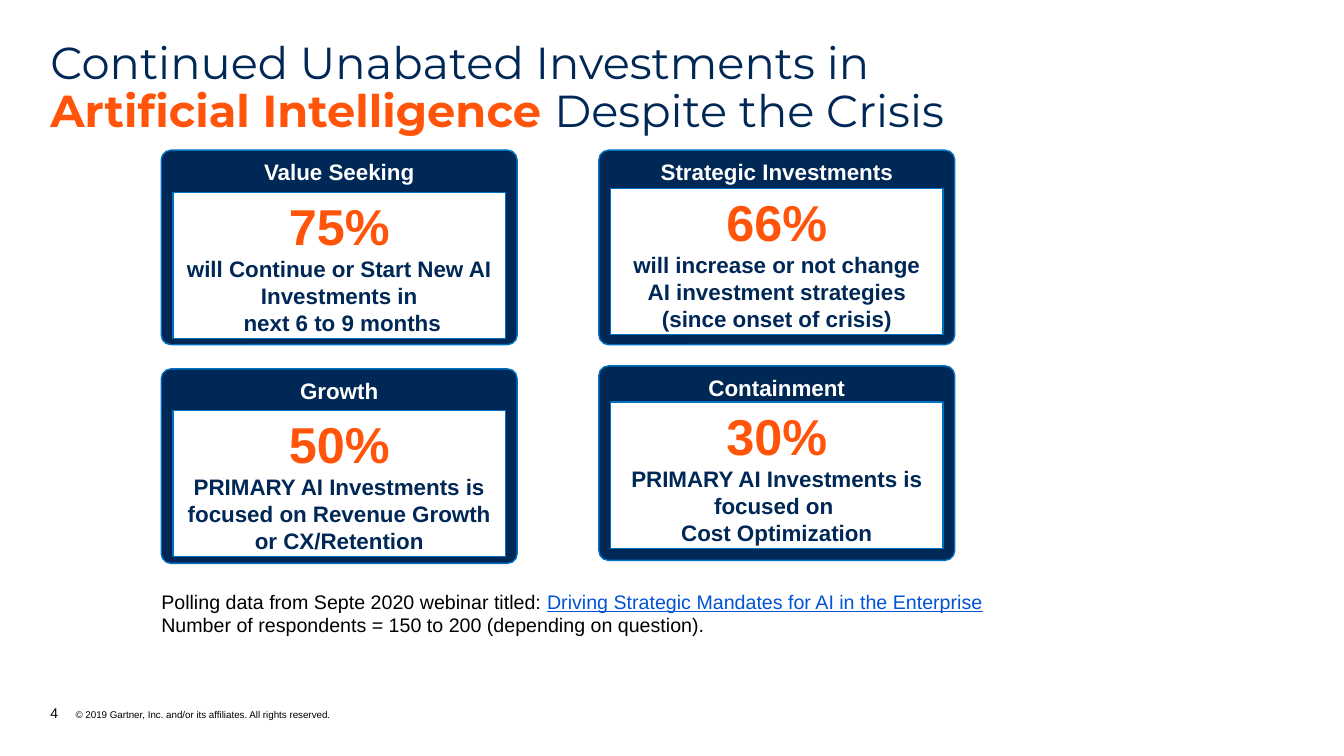
from typing import NamedTuple

from lxml import etree
from pptx import Presentation, util as u
from pptx.dml.color import RGBColor
from pptx.enum import shapes, text
from pptx.oxml.ns import qn

WIDTH, HEIGHT = u.Inches(13.33), u.Inches(7.5)
NAVY, ORANGE, BLUE, LINK = "002856", "FF540A", "0070C0", "0052D7"
WHITE, BLACK = "FFFFFF", "000000"


class Area(NamedTuple):
    """Position and size as percentages of the slide."""
    left: float
    top: float
    width: float
    height: float


class Span(NamedTuple):
    words: str
    size: float
    color: str
    bold: bool = False
    underline: bool = False
    font: str = "Arial"


class Card(NamedTuple):
    column: int
    top: float
    header: str
    panel_drop: float
    share: str
    finding: list[str]


# Card layout, in percent of the slide
COLUMN_LEFT, COLUMN_STEP = 12, 32.56
CARD_WIDTH, CARD_HEIGHT = 26.48, 25.73
PANEL_INDENT, PANEL_WIDTH, PANEL_HEIGHT = 0.86, 24.76, 19.33

CARDS = [
    Card(0, 19.87, "Value Seeking", 5.6, "75%",
         ["will Continue or Start New AI Investments in", " next 6 to 9 months"]),
    Card(1, 19.87, "Strategic Investments", 5.07, "66%",
         ["will increase or not change AI investment strategies (since onset of crisis)"]),
    Card(0, 48.8, "Growth", 5.47, "50%",
         ["PRIMARY AI Investments is focused on Revenue Growth or CX/Retention"]),
    Card(1, 48.4, "Containment", 4.8, "30%",
         ["PRIMARY AI Investments is focused on ", "Cost Optimization"]),
]


def rgb(color: str) -> RGBColor:
    return RGBColor.from_string(color)


def place(area: Area) -> tuple[int, int, int, int]:
    return (round(area.left * WIDTH / 100), round(area.top * HEIGHT / 100),
            round(area.width * WIDTH / 100), round(area.height * HEIGHT / 100))


def style(run, span: Span) -> None:
    run.font.name, run.font.size = span.font, u.Pt(span.size)
    run.font.bold, run.font.underline = span.bold, span.underline
    run.font.color.rgb = rgb(span.color)


def write(frame, lines: list[list[Span]], align=text.PP_ALIGN.LEFT) -> None:
    for number, spans in enumerate(lines):
        paragraph = frame.add_paragraph() if number else frame.paragraphs[0]
        paragraph.alignment = align
        for span in spans:
            run = paragraph.add_run()
            run.text = span.words
            style(run, span)


def add_text(slide, area: Area, lines: list[list[Span]], insets=(0, 0, 0, 0)):
    frame = slide.shapes.add_textbox(*place(area)).text_frame
    frame.word_wrap = True
    (frame.margin_left, frame.margin_top,
     frame.margin_right, frame.margin_bottom) = map(u.Inches, insets)
    write(frame, lines)
    return frame


def add_block(slide, kind, area: Area, fill: str):
    block = slide.shapes.add_shape(kind, *place(area))
    block.shadow.inherit = False
    block.fill.solid()
    block.fill.fore_color.rgb = rgb(fill)
    block.line.color.rgb = rgb(BLUE)
    block.line.width = u.Pt(1)
    return block


def add_card(slide, card: Card) -> None:
    # Navy frame with its header
    left = COLUMN_LEFT + card.column * COLUMN_STEP
    outer = add_block(slide, shapes.MSO_SHAPE.ROUNDED_RECTANGLE,
                      Area(left, card.top, CARD_WIDTH, CARD_HEIGHT), NAVY)
    outer.adjustments[0] = 0.05
    outer.text_frame.word_wrap = False
    outer.text_frame.vertical_anchor = text.MSO_ANCHOR.TOP
    write(outer.text_frame, [[Span(card.header, 16, WHITE, True)]], text.PP_ALIGN.CENTER)

    # White panel: percentage above the finding
    panel = add_block(slide, shapes.MSO_SHAPE.RECTANGLE,
                      Area(left + PANEL_INDENT, card.top + card.panel_drop,
                           PANEL_WIDTH, PANEL_HEIGHT), WHITE)
    frame = panel.text_frame
    frame.word_wrap = True
    frame.vertical_anchor = text.MSO_ANCHOR.MIDDLE
    frame.text = "\n".join([f"{card.share}\v{card.finding[0]}", *card.finding[1:]])
    for paragraph in frame.paragraphs:
        paragraph.alignment = text.PP_ALIGN.CENTER
        for run in paragraph.runs:
            size, color = (36, ORANGE) if run.text == card.share else (16, NAVY)
            style(run, Span(run.text, size, color, True))


def add_footer(slide) -> None:
    frame = add_text(slide, Area(3.75, 93.2, 59.94, 2.27), [[
        Span("4", 10, BLACK),
        Span("\t© 2019 Gartner, Inc. and/or its affiliates. All rights reserved.", 7, BLACK)]])
    frame.vertical_anchor = text.MSO_ANCHOR.BOTTOM
    # Hanging indent with a tab stop after the page number
    indent = u.Inches(0.25)
    properties = frame.paragraphs[0]._p.get_or_add_pPr()
    properties.set("marL", str(indent))
    properties.set("indent", str(-indent))
    tabs = etree.SubElement(properties, qn("a:tabLst"))
    etree.SubElement(tabs, qn("a:tab"), pos=str(indent), algn="l")


def main() -> None:
    deck = Presentation()
    deck.slide_width, deck.slide_height = WIDTH, HEIGHT
    slide = deck.slides.add_slide(deck.slide_layouts[6])

    # Title
    title = add_text(slide, Area(3.75, 5.33, 73.52, 6.4), [[
        Span("Continued Unabated Investments in ", 32, NAVY, font="Montserrat"),
        Span("Artificial Intelligence ", 32, ORANGE, True, font="Montserrat"),
        Span("Despite the Crisis", 32, NAVY, font="Montserrat")]])
    title.paragraphs[0].line_spacing = 0.9

    # Poll results
    for card in CARDS:
        add_card(slide, card)

    # Polling note
    add_text(slide, Area(12, 77.33, 76.44, 7.6), [
        [Span("Polling data from Septe 2020 webinar titled: ", 14, BLACK),
         Span("Driving Strategic Mandates for AI in the Enterprise", 14, LINK, underline=True)],
        [Span("Number of respondents = 150 to 200 (depending on question).", 14, BLACK)],
    ], (0, 0.05, 0.1, 0.05))

    add_footer(slide)
    deck.save("out.pptx")


if __name__ == "__main__":
    main()
